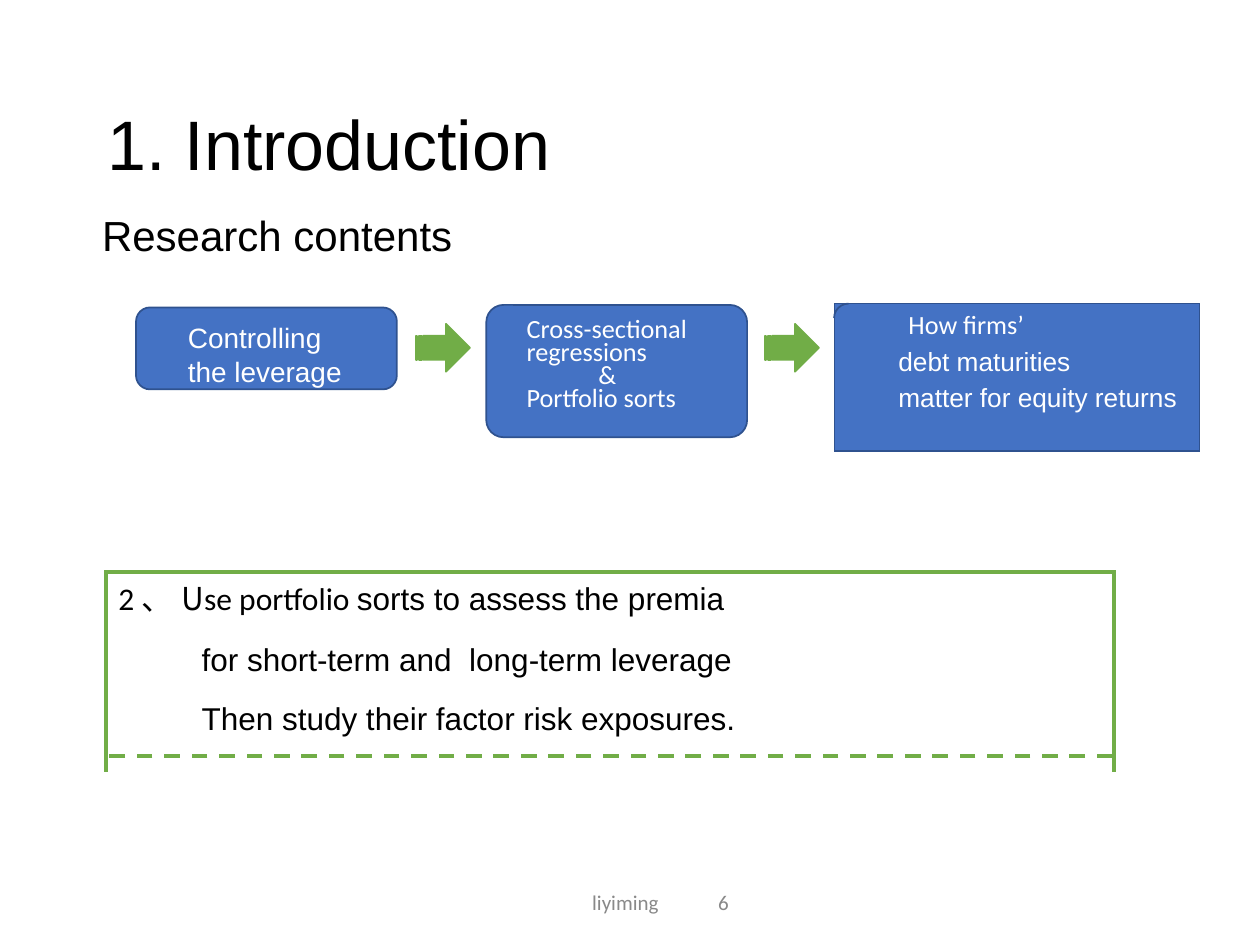
from lxml import etree
from pptx import Presentation
from pptx.dml.color import RGBColor
from pptx.enum.dml import MSO_LINE
from pptx.enum.shapes import MSO_CONNECTOR, MSO_SHAPE
from pptx.enum.text import MSO_ANCHOR, MSO_AUTO_SIZE, PP_ALIGN
from pptx.oxml.ns import qn
from pptx.util import Inches, Pt

BLUE, NAVY, GREEN = "4472C4", "2F528F", "71AD47"
WHITE, BLACK, GRAY = "FFFFFF", "000000", "898989"


def rgb(color):
    return RGBColor.from_string(color)


def inches(*values):
    return [Inches(v) for v in values]


def style(target, size, font, color):
    target.font.size = Pt(size)
    target.font.name = font
    target.font.color.rgb = rgb(color)


def indent(p, left, tab=None):
    pPr = p._p.get_or_add_pPr()
    pPr.set("marL", str(Inches(left)))
    pPr.set("indent", "0")
    if tab is None:
        etree.SubElement(pPr, qn("a:buNone"))
    else:
        tabs = etree.SubElement(pPr, qn("a:tabLst"))
        etree.SubElement(tabs, qn("a:tab"), pos=str(Inches(tab)), algn="l")


def frame(tf, left=0, top=0, right=0):
    tf.word_wrap = True
    tf.auto_size = MSO_AUTO_SIZE.NONE
    tf.vertical_anchor = MSO_ANCHOR.TOP
    tf.margin_left, tf.margin_top, tf.margin_right, tf.margin_bottom = inches(left, top, right, 0)


def write(tf, lines, size, color, spacing, before=0):
    """Each line is (text, font, left indent)."""
    for i, (text, font, left) in enumerate(lines):
        p = tf.paragraphs[0] if i == 0 else tf.add_paragraph()
        p.text = text
        p.alignment = PP_ALIGN.LEFT
        p.line_spacing = spacing
        p.space_before = Pt(before if i else 0)
        indent(p, left)
        style(p, size, font, color)


def heading(shape, box, text, size):
    shape.left, shape.top, shape.width, shape.height = inches(*box)
    frame(shape.text_frame)
    write(shape.text_frame, [(text, "Arial", 0)], size, BLACK, 1.0)


def rounded_step(s, box, radius, margins, lines, size, spacing):
    sp = s.shapes.add_shape(MSO_SHAPE.ROUNDED_RECTANGLE, *inches(*box))
    sp.shadow.inherit = False
    sp.adjustments[0] = radius
    sp.fill.solid()
    sp.fill.fore_color.rgb = rgb(BLUE)
    sp.line.color.rgb = rgb(NAVY)
    sp.line.width = Pt(1)
    frame(sp.text_frame, *margins)
    write(sp.text_frame, lines, size, WHITE, spacing)


def step_arrow(s, left, top):
    sp = s.shapes.add_shape(MSO_SHAPE.STRIPED_RIGHT_ARROW, *inches(left, top, 0.43, 0.38))
    sp.shadow.inherit = False
    sp.fill.solid()
    sp.fill.fore_color.rgb = rgb(GREEN)
    sp.line.color.rgb = rgb(GREEN)
    sp.line.width = Pt(1)


def one_cell_table(s, box, fill, color, borders, margins):
    """Borders maps L, R, T, B, in that order, to widths in points."""
    table = s.shapes.add_table(1, 1, *inches(*box)).table
    table.first_row = table.horz_banding = False
    cell = table.cell(0, 0)
    cell.margin_left, cell.margin_top, cell.margin_right, cell.margin_bottom = inches(*margins, 0, 0)
    if fill:
        cell.fill.solid()
        cell.fill.fore_color.rgb = rgb(fill)
    else:
        cell.fill.background()
    tcPr = cell._tc.get_or_add_tcPr()
    for i, (side, width) in enumerate(borders.items()):
        ln = etree.Element(qn(f"a:ln{side}"), w=str(Pt(width)))
        solid = etree.SubElement(ln, qn("a:solidFill"))
        etree.SubElement(solid, qn("a:srgbClr"), val=color)
        tcPr.insert(i, ln)
    return cell.text_frame


def result_step(s, left, top, width, height):
    tf = one_cell_table(s, (left, top, width, height), BLUE, NAVY,
                        {"L": 0.25, "R": 1, "T": 0.25, "B": 1}, (0, 0.02))
    write(tf, [("How firms’", "Calibri", 0.59),
               ("debt maturities", "Arial", 0.51),
               ("matter for equity returns", "Arial", 0.51)], 15, WHITE, Pt(20.4))
    # Rounded corner line
    arc = s.shapes.add_shape(MSO_SHAPE.ARC, *inches(left, top, 0.23, 0.23))
    arc.shadow.inherit = False
    arc.adjustments[0], arc.adjustments[1] = 108, 162
    arc.fill.background()
    arc.line.color.rgb = rgb(NAVY)
    arc.line.width = Pt(1)


def flow(s, left, top):
    rounded_step(s, (left, top + 0.03, 2.07, 0.65), 0.17, (0.38, 0.06, 0.32),
                 [("Controlling the leverage", "Arial", 0)], 16, 1.03)
    step_arrow(s, left + 2.22, top + 0.16)
    rounded_step(s, (left + 2.78, top + 0.01, 2.07, 1.05), 0.13, (0.28, 0.09, 0.17),
                 [("Cross-sectional regressions", "Calibri", 0),
                  ("&", "Calibri", 0.57),
                  ("Portfolio sorts", "Calibri", 0)], 15, Pt(13))
    step_arrow(s, left + 4.99, top + 0.16)
    result_step(s, left + 5.54, top, 2.9, 1.17)


def method_panel(s, left, top, width, height):
    tf = one_cell_table(s, (left, top, width, height), None, GREEN,
                        {"L": 2.25, "R": 2.25, "T": 2.25}, (0.1, 0.13))
    write(tf, [("", "Arial", 0),
               ("for short-term and  long-term leverage", "Arial", 0.66),
               ("Then study their factor risk exposures.", "Arial", 0.66)],
          18, BLACK, Pt(18), 15.4)
    # First line mixes fonts
    p = tf.paragraphs[0]
    for text, font in (("2 ", "Calibri"), ("、\tU", "Noto Sans CJK SC"),
                       ("se portfolio ", "Calibri"), ("sorts to assess the premia", "Arial")):
        r = p.add_run()
        r.text = text
        style(r, 18, font, BLACK)
        if font == "Noto Sans CJK SC":
            etree.SubElement(r._r.get_or_add_rPr(), qn("a:ea"), typeface=font)
    pPr = p._p.get_or_add_pPr()
    tabs = etree.Element(qn("a:tabLst"))
    etree.SubElement(tabs, qn("a:tab"), pos=str(Inches(0.72)), algn="l")
    pPr.find(qn("a:buNone")).addnext(tabs)
    # Dashed rule
    y = top + 1.46
    line = s.shapes.add_connector(MSO_CONNECTOR.STRAIGHT,
                                  *inches(left + width - 0.01, y, left + 0.01, y))
    line.line.color.rgb = rgb(GREEN)
    line.line.width = Pt(2.25)
    line.line.dash_style = MSO_LINE.DASH
    etree.SubElement(line._element.spPr, qn("a:effectLst"))


def footer(s, left, top, width, height):
    tf = s.shapes.add_textbox(*inches(left, top, width, height)).text_frame
    frame(tf)
    p = tf.paragraphs[0]
    p.text = "liyiming\t6"
    indent(p, 0, tab=4.3)
    style(p, 12, "Calibri", GRAY)


def main():
    prs = Presentation()
    prs.slide_width, prs.slide_height = inches(10, 7.5)
    s = prs.slides.add_slide(prs.slide_layouts[1])
    heading(s.shapes.title, (0.85, 0.8, 4, 0.65), "1. Introduction", 40)
    heading(s.placeholders[1], (0.81, 1.66, 4, 0.45), "Research contents", 24)
    flow(s, 1.08, 2.41)
    method_panel(s, 0.84, 4.54, 8, 1.58)
    footer(s, 4.7, 7.06, 4.54, 0.25)
    prs.save("out.pptx")


if __name__ == "__main__":
    main()
